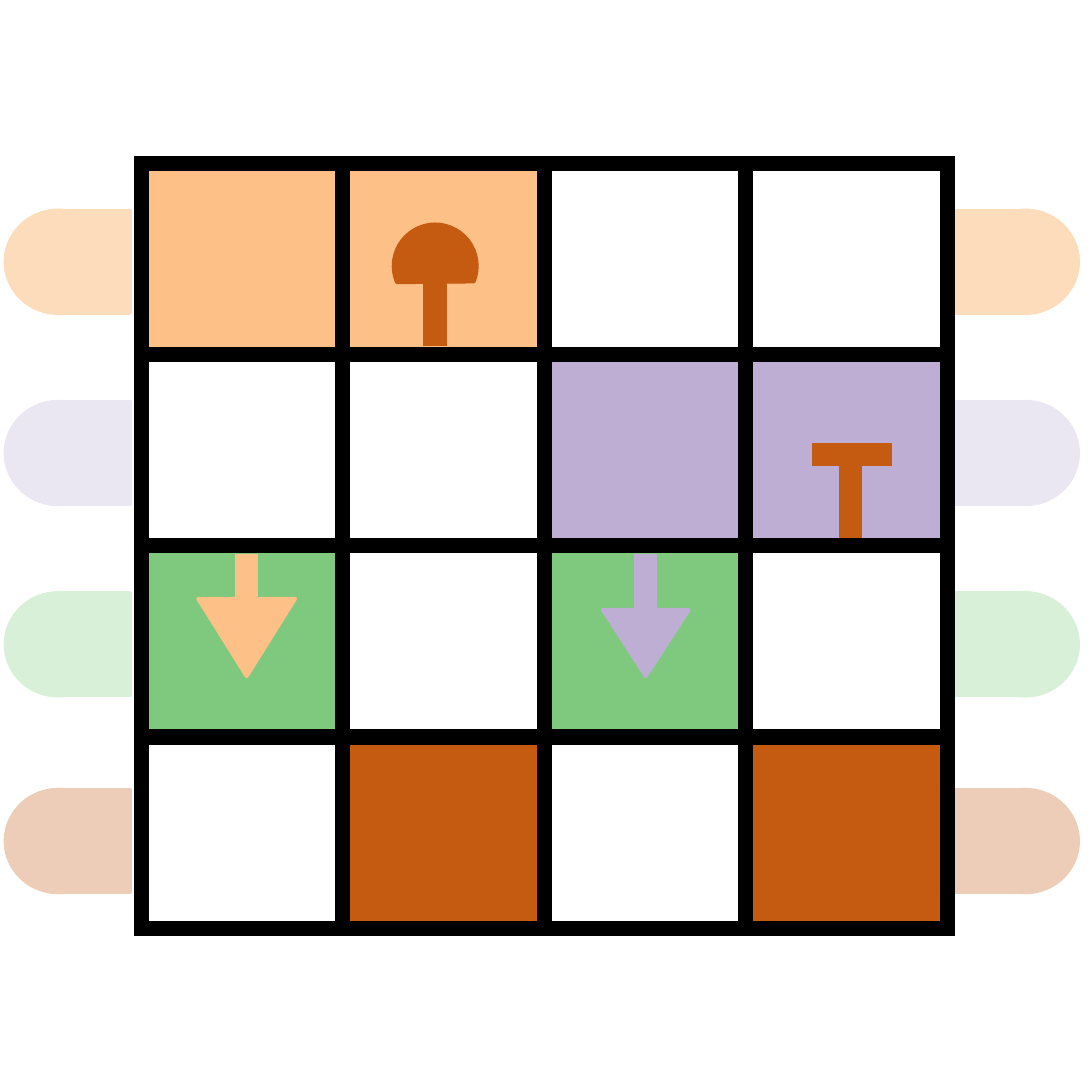
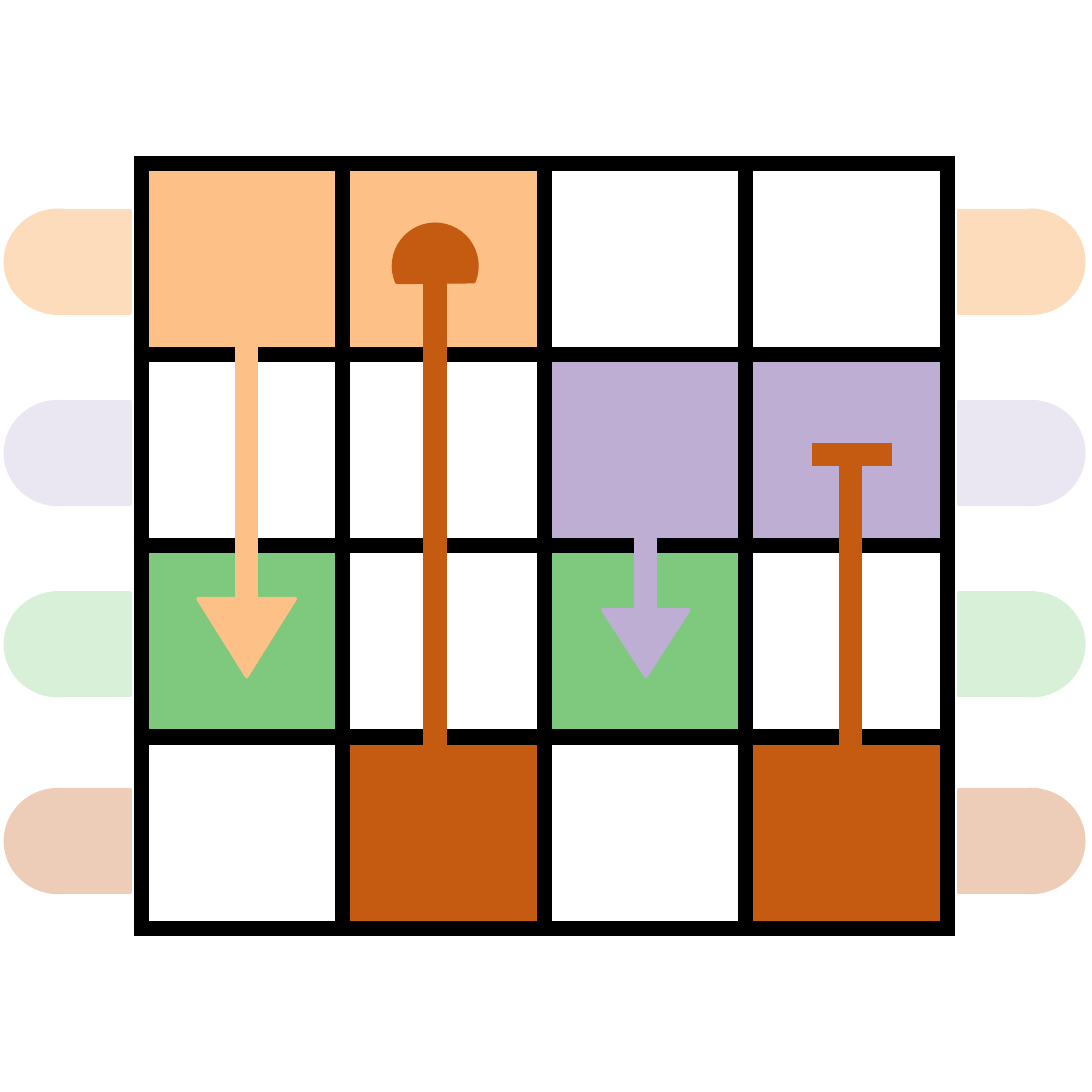
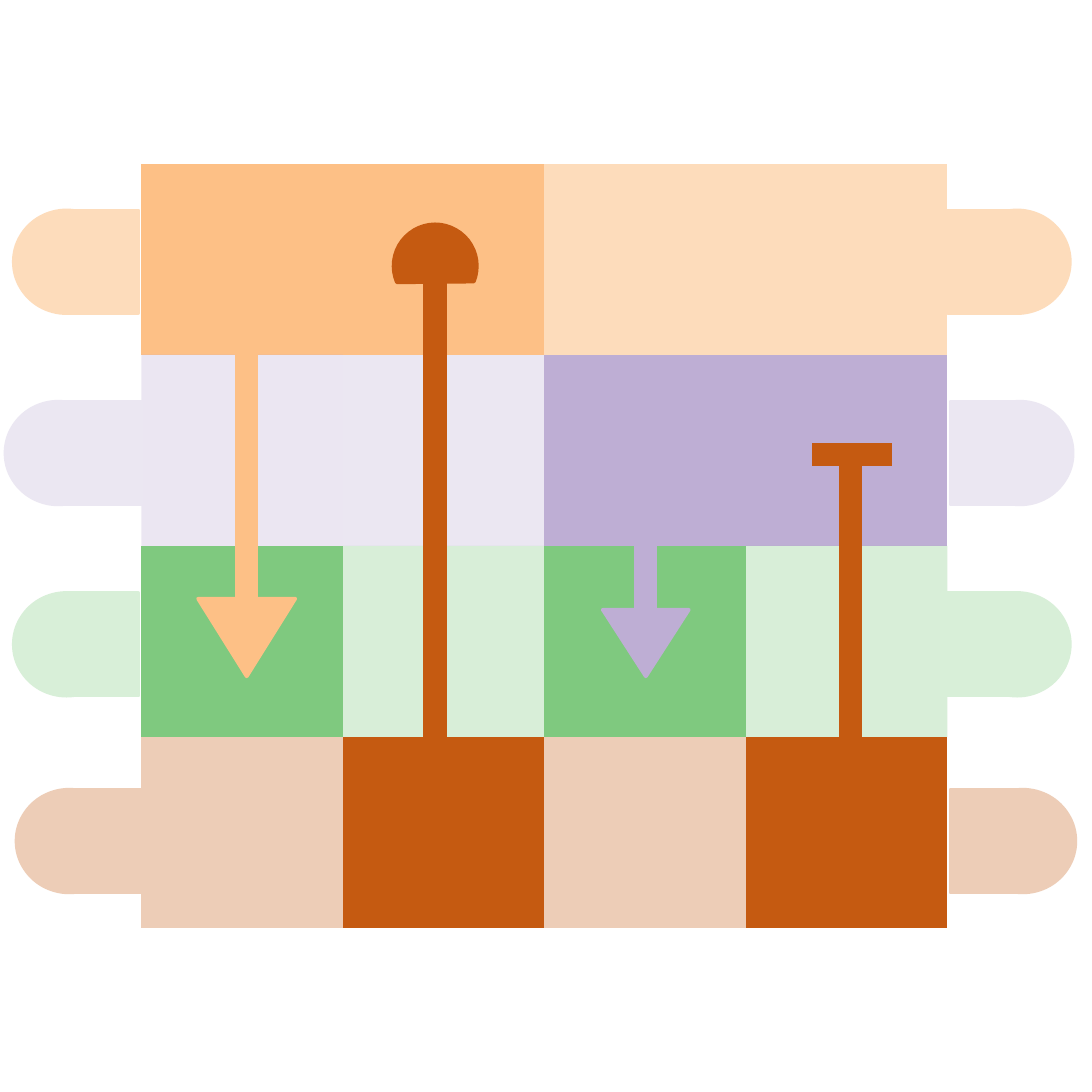
from lxml import etree
from pptx import Presentation
from pptx import util as u
from pptx.dml import color as dml
from pptx.enum import shapes
from pptx.oxml import ns

IN = u.Inches
KIND = shapes.MSO_SHAPE

ORANGE, PURPLE, GREEN, BROWN, WHITE = "FDC086", "BEAED4", "7FC97F", "C55A11", "FFFFFF"
PALE = ["FDDCBB", "EBE7F2", "D8EFD8", "EDCDB7"]  # one per row
TAB_TOPS = [0.17, 0.86, 1.55, 2.26]
BOARD = (0.51, 0.59, 2.91, 2.76)
MEMORY = [
    [ORANGE, ORANGE, None, None],
    [None, None, PURPLE, PURPLE],
    [GREEN, None, GREEN, None],
    [None, BROWN, None, BROWN],
]
# Pale colours of the free cells; a pair gives colour and opacity
FREE_PALE = [
    [PALE[0]] * 4,
    [(PURPLE, 30), PALE[1], PALE[1], PALE[1]],
    [(GREEN, 30)] * 4,
    [PALE[3]] * 4,
]
FREE_WHITE = [[WHITE] * 4] * 4


def rgb(value):
    return dml.RGBColor.from_string(value)


def add_solid(parent, tag, hex_color, **attrs):
    """Append a line element with a solid fill, or none if no colour."""
    ln = etree.Element(ns.qn(tag), **attrs)
    fill = etree.SubElement(ln, ns.qn("a:solidFill" if hex_color else "a:noFill"))
    if hex_color:
        etree.SubElement(fill, ns.qn("a:srgbClr"), val=hex_color)
    parent.append(ln)


def add_shape(shape_tree, kind, x, y, w, h, color, rotation=0):
    sp = shape_tree.add_shape(kind, IN(x), IN(y), IN(w), IN(h))
    sp.shadow.inherit = False
    sp.fill.solid()
    sp.fill.fore_color.rgb = rgb(color)
    sp.line.color.rgb = rgb(color)
    sp.line.width = u.Pt(1)
    sp.rotation = rotation


def add_line(s, x1, y1, x2, y2, color):
    line = s.shapes.add_connector(shapes.MSO_CONNECTOR.STRAIGHT,
                                  IN(x1), IN(y1), IN(x2), IN(y2))
    line.line.color.rgb = rgb(color)
    line.line.width = u.Pt(6)
    etree.SubElement(line._element.spPr, ns.qn("a:effectLst"))


def board(s, box, free, border):
    """Four by four grid of coloured cells."""
    x, y, w, h = box
    table = s.shapes.add_table(4, 4, IN(x), IN(y), IN(w), IN(h)).table
    table.first_row = table.horz_banding = False
    for col in table.columns:
        col.width = IN(w / 4)
    for i, row in enumerate(table.rows):
        row.height = IN(h / 4)
        for j, cell in enumerate(row.cells):
            fill = MEMORY[i][j] or free[i][j]
            color, opacity = fill if isinstance(fill, tuple) else (fill, 100)
            tc_pr = cell._tc.get_or_add_tcPr()
            for side in "LRTB":
                add_solid(tc_pr, f"a:ln{side}", border, w=str(u.Pt(4.5)))
            cell.fill.solid()
            cell.fill.fore_color.rgb = rgb(color)
            if opacity < 100:
                clr = tc_pr.find(".//" + ns.qn("a:solidFill") + "/" + ns.qn("a:srgbClr")
                                 if border else ns.qn("a:solidFill") + "/" + ns.qn("a:srgbClr"))
                etree.SubElement(clr, ns.qn("a:alpha"), val=str(opacity * 1000))


def tabs(s, box, caps, edges):
    """Rounded tabs on one side: cap ellipses joined to the board's edge."""
    x, y = box[:2]
    for cap, edge, top, color in zip(caps, edges, TAB_TOPS, PALE):
        middle = cap + 0.19
        group = s.shapes.add_group_shape().shapes
        add_shape(group, KIND.RECTANGLE, x + min(middle, edge), y + top,
                  abs(edge - middle), 0.37, color)
        add_shape(group, KIND.OVAL, x + cap, y + top, 0.38, 0.37, color)


def arrow(s, x, top, neck, tip, w, h, color):
    add_line(s, x, top, x, neck, color)
    add_shape(s.shapes, KIND.ISOSCELES_TRIANGLE, x - w / 2, tip - h, w, h, color, 180)


def marks(s, box, orange_top, purple_top, knob_end, bar_end):
    """Two arrows down, a knob and a bar on stems."""
    x, y = box[:2]
    arrow(s, x + 0.38, y + orange_top, y + 1.72, y + 1.85, 0.35, 0.28, ORANGE)
    arrow(s, x + 1.82, y + purple_top, y + 1.67, y + 1.85, 0.31, 0.24, PURPLE)
    # Knob
    add_line(s, x + 1.06, y + 0.39, x + 1.06, y + knob_end, BROWN)
    add_shape(s.shapes, KIND.CHORD, x + 0.91, y + 0.22, 0.3, 0.3, BROWN, 112)
    # Bar
    add_line(s, x + 2.56, y + 1.04, x + 2.56, y + bar_end, BROWN)
    add_line(s, x + 2.42, y + 1.05, x + 2.71, y + 1.05, BROWN)


def main():
    prs = Presentation()
    prs.slide_width = prs.slide_height = IN(3.94)
    first, second, third = [prs.slides.add_slide(prs.slide_layouts[6]) for _ in range(3)]

    # Short marks, tabs behind the board
    tabs(first, BOARD, [-0.49] * 4, [-0.04] * 4)
    tabs(first, BOARD, [3.0] * 4, [2.94] * 4)
    board(first, BOARD, FREE_WHITE, "000000")
    marks(first, BOARD, 1.41, 1.41, 0.66, 1.35)

    # Full marks
    board(second, BOARD, FREE_WHITE, "000000")
    tabs(second, BOARD, [-0.49] * 4, [-0.04] * 4)
    tabs(second, BOARD, [3.02] * 4, [2.95] * 4)
    marks(second, BOARD, 0.61, 1.13, 2.44, 2.19)

    # Full marks on a board without borders
    board(third, BOARD, FREE_PALE, None)
    tabs(third, BOARD, [-0.46, -0.49, -0.46, -0.45], [-0.01, 0, -0.01, 0.01])
    tabs(third, BOARD, [2.97, 2.98, 2.97, 2.99], [2.91, 2.92, 2.89, 2.92])
    marks(third, BOARD, 0.61, 1.13, 2.44, 2.46)

    prs.save("out.pptx")


if __name__ == "__main__":
    main()
